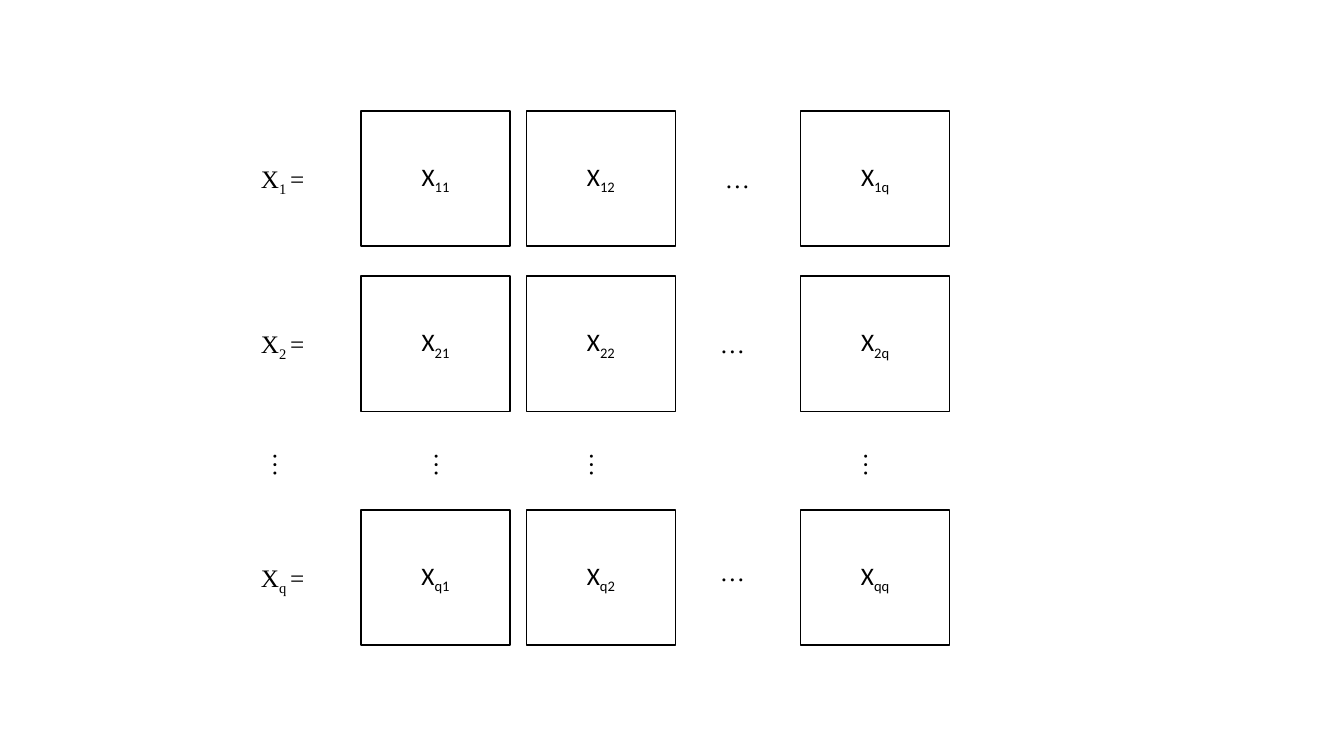
from pptx import Presentation
from pptx.dml.color import RGBColor
from pptx.enum.shapes import MSO_SHAPE
from pptx.enum.text import MSO_ANCHOR, MSO_AUTO_SIZE, PP_ALIGN
from pptx.util import Inches, Pt

RECT = MSO_SHAPE.RECTANGLE
MIDDLE = MSO_ANCHOR.MIDDLE
CENTER = PP_ALIGN.CENTER
GROW = MSO_AUTO_SIZE.SHAPE_TO_FIT_TEXT

COLORS = {"ink": "000000", "paper": "FFFFFF"}
BLOCK_FONT, LABEL_FONT = "Calibri", "Times New Roman"

BLOCK_W, BLOCK_H = 1.48, 1.34
LABEL_H = 0.4
ROWS = {"1": 1.1, "2": 2.74, "q": 5.06}
COLUMNS = {"1": 3.58, "2": 5.22, "q": 7.94}
ROW_DOTS = [(7.09, 1.57), (7.04, 3.21), (7.04, 5.47)]
COLUMN_DOTS_X = [2.59, 4.19, 5.73, 8.45]
COLUMN_DOTS_Y = 4.42


def color(name):
    return RGBColor.from_string(COLORS[name])


def add_run(p, text, font, subscript=False):
    r = p.add_run()
    r.text = text
    r.font.name = font
    r.font.size = Pt(18)
    r.font.color.rgb = color("ink")
    if subscript:
        r.font._element.set("baseline", "-25000")


def add_block(s, x, y, index):
    sp = s.shapes.add_shape(RECT, Inches(x), Inches(y), Inches(BLOCK_W), Inches(BLOCK_H))
    sp.shadow.inherit = False
    sp.fill.solid()
    sp.fill.fore_color.rgb = color("paper")
    sp.line.color.rgb = color("ink")
    sp.line.width = Pt(1)
    tf = sp.text_frame
    tf.vertical_anchor = MIDDLE
    p = tf.paragraphs[0]
    p.alignment = CENTER
    add_run(p, "X", BLOCK_FONT)
    add_run(p, index, BLOCK_FONT, subscript=True)


def add_label(s, x, y, w, runs, rotation=0):
    """Add an unwrapped text box; runs holds (text, subscript) pairs."""
    sp = s.shapes.add_textbox(Inches(x), Inches(y), Inches(w), Inches(LABEL_H))
    sp.rotation = rotation
    tf = sp.text_frame
    tf.word_wrap = False
    tf.auto_size = GROW
    for text, subscript in runs:
        add_run(tf.paragraphs[0], text, LABEL_FONT, subscript)


def add_dots(s, x, y, rotation=0):
    add_label(s, x, y, 0.45, [("…", False)], rotation)


def main():
    prs = Presentation()
    prs.slide_width, prs.slide_height = Inches(13.33), Inches(7.5)
    s = prs.slides.add_slide(prs.slide_layouts[6])

    for row, y in ROWS.items():
        for column, x in COLUMNS.items():
            add_block(s, x, y, row + column)
        label_y = y + (BLOCK_H - LABEL_H) / 2
        add_label(s, 2.49, label_y, 0.65, [("X", False), (row + " ", True), ("=", False)])
    for x, y in ROW_DOTS:
        add_dots(s, x, y)
    for x in COLUMN_DOTS_X:
        add_dots(s, x, COLUMN_DOTS_Y, rotation=90)

    prs.save("out.pptx")


if __name__ == "__main__":
    main()
